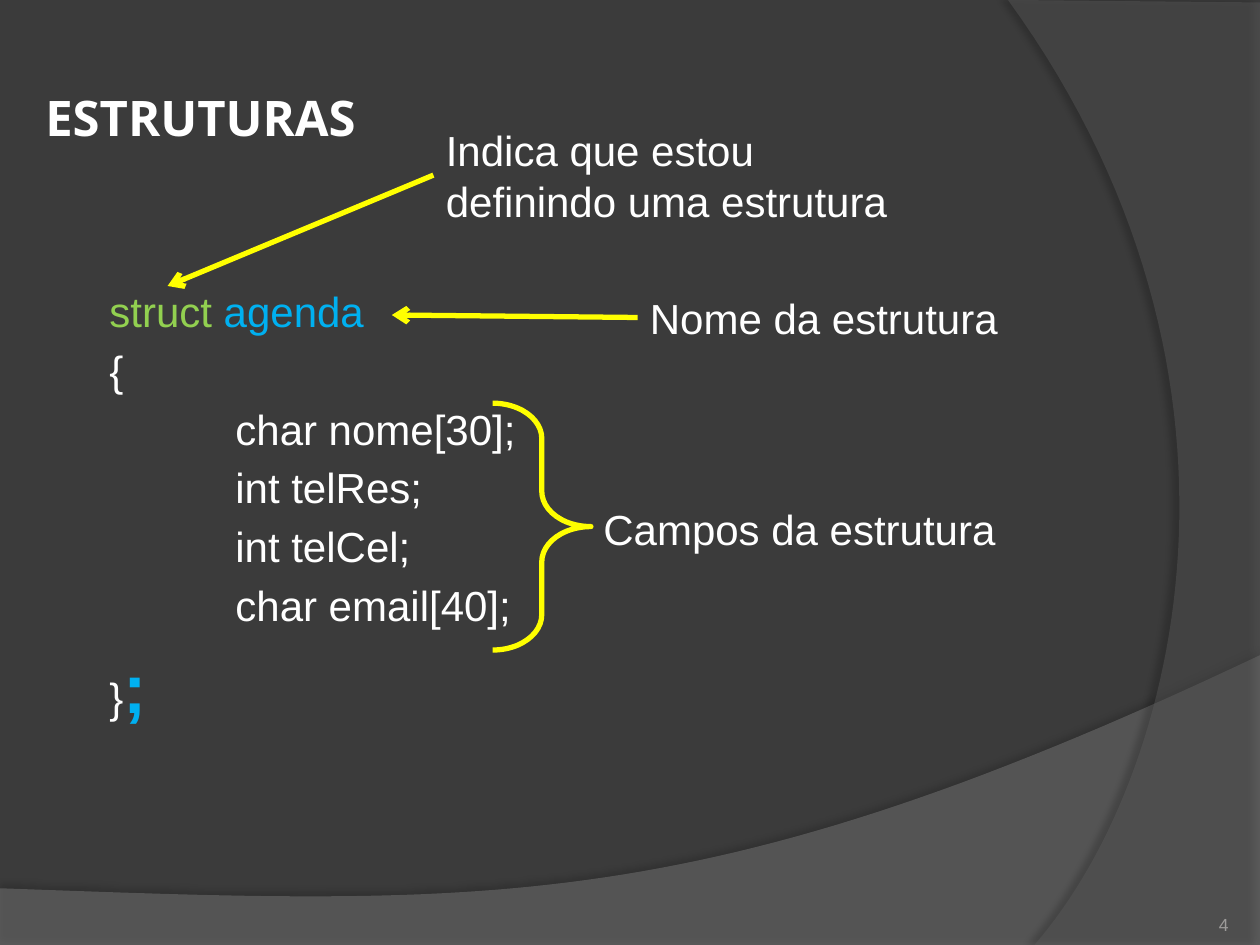
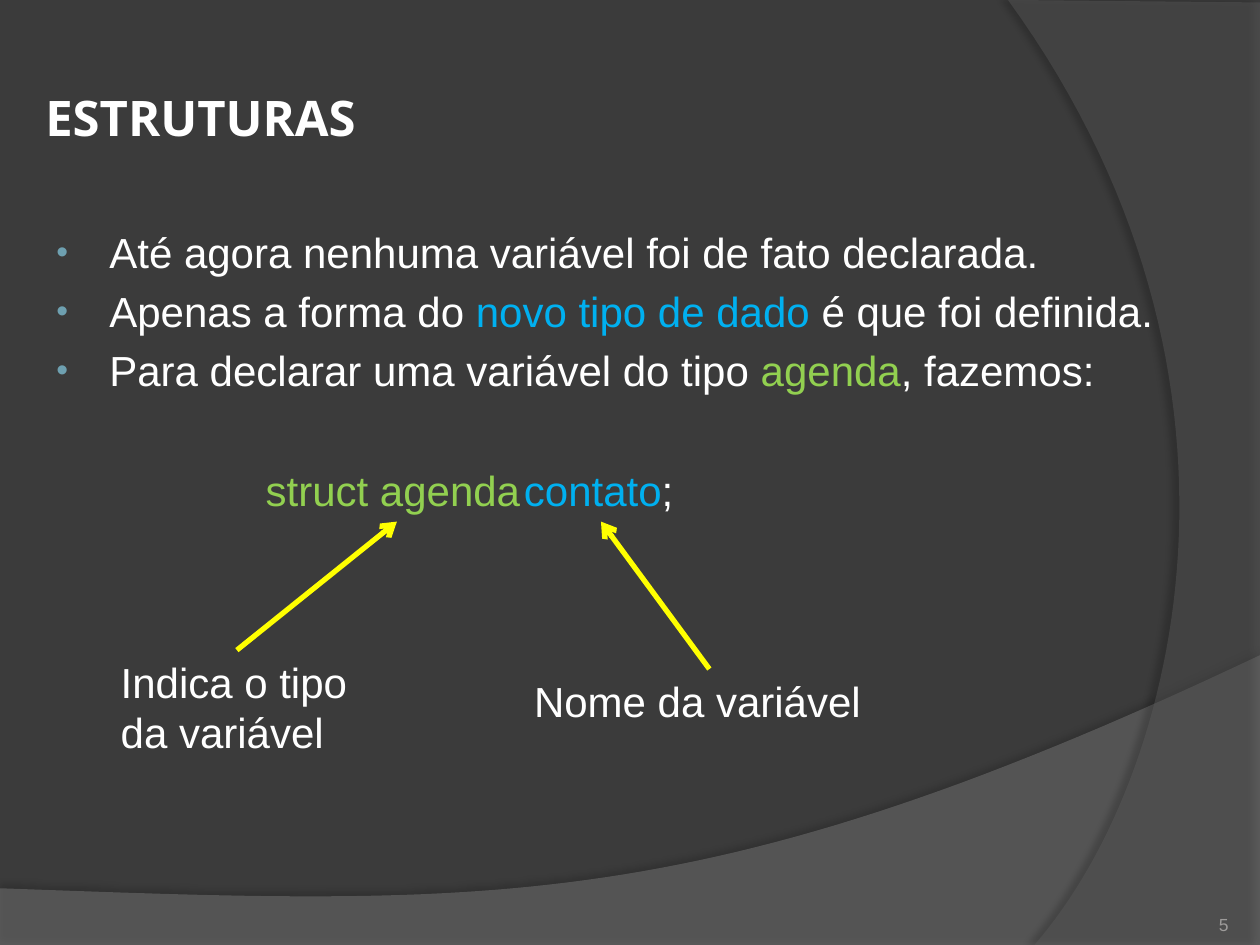
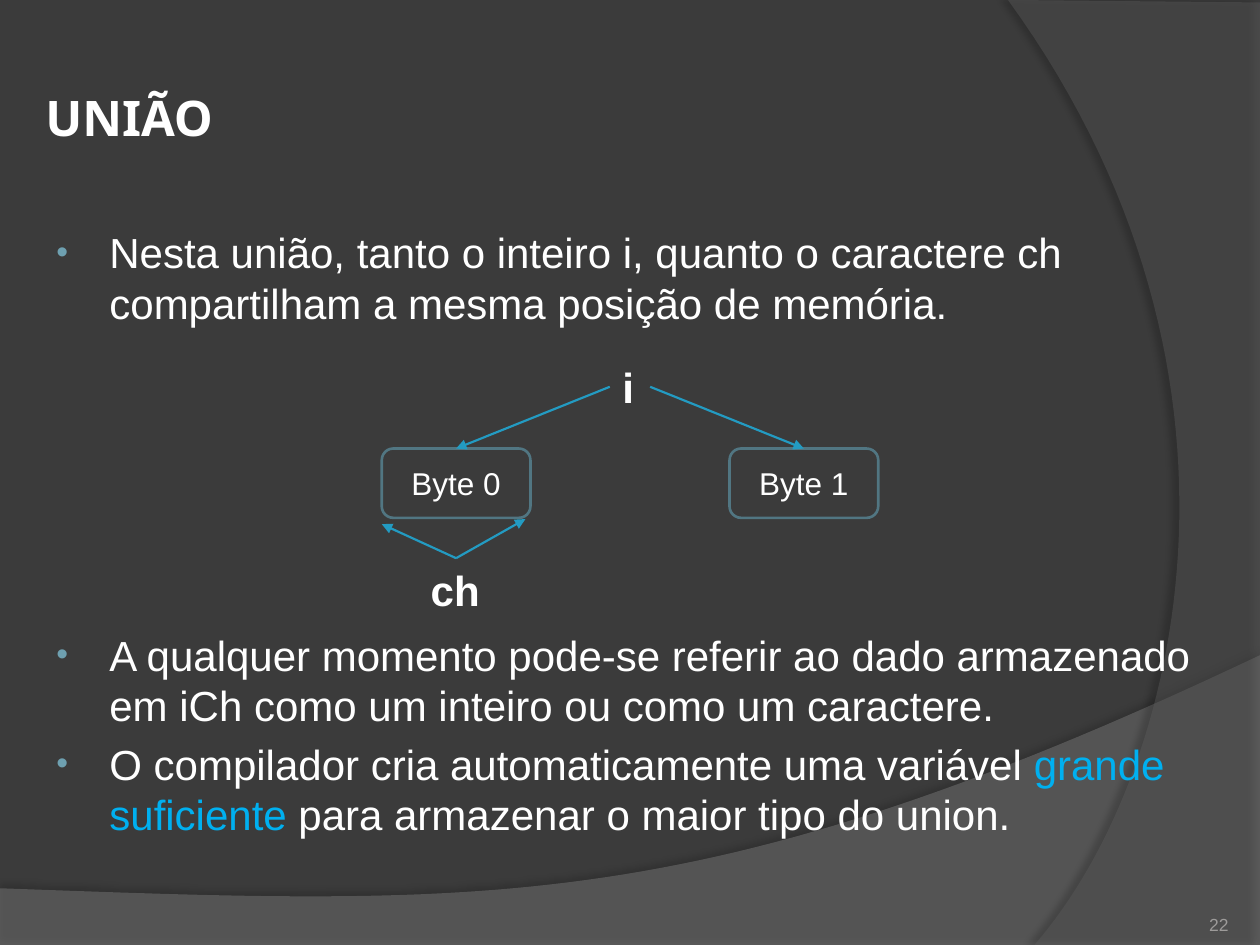
from pptx import Presentation
from pptx.dml.color import RGBColor
from pptx.enum.shapes import MSO_CONNECTOR, MSO_SHAPE
from pptx.enum.text import MSO_ANCHOR, PP_ALIGN
from pptx.oxml.ns import qn
from pptx.util import Inches, Pt
from lxml.etree import SubElement

# Palette and fonts
BACKDROP = RGBColor(0x3B, 0x3B, 0x3B)
WAVE = RGBColor(0x7F, 0x7F, 0x7F)
ARC = RGBColor(0x5E, 0x5E, 0x5E)
WHITE = RGBColor(0xFF, 0xFF, 0xFF)
GREEN = RGBColor(0x92, 0xD0, 0x50)
BLUE = RGBColor(0x00, 0xB0, 0xF0)
YELLOW = RGBColor(0xFF, 0xFF, 0x00)
TEAL = RGBColor(0x23, 0x9B, 0xC2)
SLATE = RGBColor(0x51, 0x76, 0x82)
BULLET = RGBColor(0x6E, 0xA0, 0xB0)
GREY = RGBColor(0x9D, 0x9B, 0x9A)
BODY_FONT, TITLE_FONT = "Arial", "Noto Sans"

# Grid of 100 columns by 75 rows; boxes are (left, top, width, height) in cells
SLIDE_W, SLIDE_H = Inches(10), Inches(7.5)
COLS, ROWS = 100, 75
TITLE = (3.1, 3, 93.8, 12.5)
BODY = (3.1, 17.5, 93.8, 49.5)
NUMBER = (89.2, 70.2, 8.3, 4)
LINE_ROWS = 4.66            # one body line with its gap
LINE_PT = 33.5


def grid(*cells):
    """Turn x, y, x, y... cells into lengths."""
    units = (SLIDE_W / COLS, SLIDE_H / ROWS)
    return [int(c * units[i % 2]) for i, c in enumerate(cells)]


def add_runs(p, parts, size=24, bold=False, font=BODY_FONT):
    """Parts are strings (white) or (text, colour[, size, bold])."""
    for part in parts:
        text, color, sz, b = (part, WHITE, size, bold) if isinstance(part, str) \
            else part + (size, bold)[len(part) - 2:]
        r = p.add_run()
        r.text = text
        r.font.name, r.font.size, r.font.bold = font, Pt(sz), b
        r.font.color.rgb = color


def add_text(s, box, *parts, inset=None, anchor=MSO_ANCHOR.TOP, align=None, **style):
    tf = s.shapes.add_textbox(*grid(*box)).text_frame
    tf.word_wrap = True
    tf.vertical_anchor = anchor
    if inset is not None:
        tf.margin_left = tf.margin_right = tf.margin_top = tf.margin_bottom = Inches(inset)
    p = tf.paragraphs[0]
    p.alignment = align
    add_runs(p, parts, **style)
    return tf


def indent(p, left, first=0):
    pPr = p._p.get_or_add_pPr()
    pPr.set("marL", str(Inches(left)))
    pPr.set("indent", str(Inches(first)))
    return pPr


def add_arrow(s, start, end, color=YELLOW, width=3, head="arrow"):
    c = s.shapes.add_connector(MSO_CONNECTOR.STRAIGHT, *grid(*start, *end))
    c.line.color.rgb = color
    c.line.width = Pt(width)
    SubElement(c.line._get_or_add_ln(), qn("a:tailEnd"), type=head)
    SubElement(c._element.spPr, qn("a:effectLst"))


def add_outline(s, kind, box, color, width):
    shape = s.shapes.add_shape(kind, *grid(*box))
    shape.shadow.inherit = False
    shape.fill.background()
    shape.line.color.rgb = color
    shape.line.width = Pt(width)
    return shape


# Background bands
def bezier(p0, p1, p2, p3, steps=60):
    for i in range(1, steps + 1):
        t = i / steps
        u = 1 - t
        yield tuple(u**3 * a + 3 * u * u * t * b + 3 * u * t * t * c + t**3 * d
                    for a, b, c, d in zip(p0, p1, p2, p3))


def add_band(s, points, color, alpha, shadow_alpha, distance, angle):
    start, *rest = [grid(*pt) for pt in points]
    fb = s.shapes.build_freeform(*start)
    fb.add_line_segments(rest, close=True)
    band = fb.convert_to_shape()
    band.fill.solid()
    band.fill.fore_color.rgb = color
    band.line.fill.background()
    spPr = band._element.spPr
    SubElement(spPr.find(".//" + qn("a:srgbClr")), qn("a:alpha"), val=str(alpha * 1000))
    shadow = SubElement(SubElement(spPr, qn("a:effectLst")), qn("a:outerShdw"),
                        blurRad=str(Pt(4)), dist=str(Pt(distance)),
                        dir=str(angle * 60000), algn="ctr", rotWithShape="0")
    black = SubElement(shadow, qn("a:srgbClr"), val="000000")
    SubElement(black, qn("a:alpha"), val=str(shadow_alpha * 1000))


def add_base(prs, title, number):
    s = prs.slides.add_slide(prs.slide_layouts[6])
    s.background.fill.solid()
    s.background.fill.fore_color.rgb = BACKDROP
    wave = [(0, 70.5), (0, 75.1), (100, 75.1), (100, 52),
            *bezier((100, 52), (55.9, 72.9), (39.1, 71.9), (0, 70.5))]
    arc = [(100, 0.2), (100, 75), (82.1, 75),
           *bezier((82.1, 75), (93.5, 61.9), (101.8, 30), (80, 0))]
    add_band(s, wave, WAVE, 45, 35, 3.5, 270)
    add_band(s, arc, ARC, 40, 45, 4, 180)
    add_text(s, TITLE, title, inset=0.05, anchor=MSO_ANCHOR.MIDDLE,
             size=28, bold=True, font=TITLE_FONT)
    add_text(s, NUMBER, (str(number), GREY), inset=0, anchor=MSO_ANCHOR.BOTTOM,
             align=PP_ALIGN.RIGHT, size=10)
    return s


# Body text
def add_bullets(s, box, items):
    """Items are (lines left free above, parts)."""
    tf = add_text(s, box)
    for i, (free, parts) in enumerate(items):
        p = tf.add_paragraph() if i else tf.paragraphs[0]
        p.space_before = Pt(4.8 + free * LINE_PT)
        pPr = indent(p, 0.46, -0.42)
        SubElement(SubElement(pPr, qn("a:buClr")), qn("a:srgbClr"), val=str(BULLET))
        SubElement(pPr, qn("a:buSzPct"), val="80000")
        SubElement(pPr, qn("a:buFont"), typeface=BODY_FONT)
        SubElement(pPr, qn("a:buChar"), char="•")
        add_runs(p, parts)


def add_code(s, box, lines):
    """Lines are (level, parts)."""
    tf = add_text(s, box)
    for i, (level, parts) in enumerate(lines):
        p = tf.add_paragraph() if i else tf.paragraphs[0]
        p.space_before = Pt(8 if level == 0 and i == len(lines) - 1 else 4.8)
        indent(p, 0.46 + level)
        add_runs(p, parts)


# Slide regions
def struct_definition(s, box):
    x, y, w, h = box
    add_code(s, (x, y + LINE_ROWS, w, h - LINE_ROWS), [
        (0, [("struct ", GREEN), ("agenda", BLUE)]),
        (0, ["{"]),
        *[(1, [field]) for field in ("char nome[30];", "int telRes;",
                                     "int telCel;", "char email[40];")],
        (0, ["}", (";", BLUE, 40, True)]),
    ])
    add_text(s, (x + 31.3, y - 8.1, 37.5, 9.1), "Indica que estou definindo uma estrutura")
    add_text(s, (x + 47.5, y + 5.2, 29.7, 5.1), "Nome da estrutura")
    add_text(s, (x + 43.8, y + 22, 33.6, 5.1), "Campos da estrutura")
    add_arrow(s, (x + 31.3, y - 3.6), (x + 10.2, y + 5.2))
    add_arrow(s, (x + 47.5, y + 7.7), (x + 28, y + 7.5))
    brace = add_outline(s, MSO_SHAPE.RIGHT_BRACE, (x + 36, y + 14.5, 7.8, 19.6), YELLOW, 3)
    brace.adjustments[0], brace.adjustments[1] = 0.36, 0.5


def variable_declaration(s, box):
    x, y, w, h = box
    add_bullets(s, box, [
        (0, ["Até agora nenhuma variável foi de fato declarada."]),
        (0, ["Apenas a forma do ", ("novo tipo de dado", BLUE), " é que foi definida."]),
        (0, ["Para declarar uma variável do tipo ", ("agenda", GREEN), ", fazemos:"]),
    ])
    code_y, code_h = y + 18.9, 5
    add_text(s, (x + 17, code_y, 22.8, code_h), ("struct agenda", GREEN))
    add_text(s, (x + 37.5, code_y, 14.1, code_h), ("contato", BLUE), ";")
    add_text(s, (x + 5.5, y + 34.1, 20.3, 9.1), "Indica o tipo da variável")
    add_text(s, (x + 38.3, y + 35.6, 29.7, 5.1), "Nome da variável")
    add_arrow(s, (x + 15.7, y + 34.1), (x + 28.4, code_y + code_h))
    add_arrow(s, (x + 53.2, y + 35.6), (x + 44.6, code_y + code_h))


def memory_diagram(s, box):
    x, y, w, h = box
    mid, byte_w, byte_h = x + w / 2, 11.8, 5.5
    byte_y, offset = y + 7.4, (w - byte_w) / 2
    fan = dict(color=TEAL, width=1.25, head="triangle")
    # Bytes, each reached from the integer
    for i, side in enumerate((-1, 1)):
        center = mid + side * offset
        shape = add_outline(s, MSO_SHAPE.ROUNDED_RECTANGLE,
                            (center - byte_w / 2, byte_y, byte_w, byte_h), SLATE, 1.5)
        tf = shape.text_frame
        tf.vertical_anchor = MSO_ANCHOR.MIDDLE
        tf.paragraphs[0].alignment = PP_ALIGN.CENTER
        add_runs(tf.paragraphs[0], [f"Byte {i}"], size=18)
        add_arrow(s, (mid + side * 1.6, y + 2.5), (center, byte_y), **fan)
    add_text(s, (mid - 1.6, y, 3.2, 5), "i", bold=True)
    # Character, spanning the first byte
    ch_x, ch_y = mid - offset, y + 16.1
    add_text(s, (ch_x - 3, ch_y, 6, 5), "ch", bold=True)
    add_arrow(s, (ch_x, ch_y), (ch_x - 5.9, ch_y - 2.7), **fan)
    add_arrow(s, (ch_x, ch_y), (ch_x + 5.5, ch_y - 3.1), **fan)


def union_memory(s, box):
    x, y, w, h = box
    add_bullets(s, box, [
        (0, ["Nesta união, tanto o inteiro i, quanto o caractere ch "
             "compartilham a mesma posição de memória."]),
        (5, ["A qualquer momento pode-se referir ao dado armazenado "
             "em iCh como um inteiro ou como um caractere."]),
        (0, ["O compilador cria automaticamente uma variável ",
             ("grande suficiente", BLUE), " para armazenar o maior tipo do union."]),
    ])
    memory_diagram(s, (x + 27.2, y + 10.7, 39.4, 21.1))


def main():
    prs = Presentation()
    prs.slide_width, prs.slide_height = SLIDE_W, SLIDE_H
    for title, number, fill_body in (("ESTRUTURAS", 4, struct_definition),
                                     ("ESTRUTURAS", 5, variable_declaration),
                                     ("UNIÃO", 22, union_memory)):
        fill_body(add_base(prs, title, number), BODY)
    prs.save("out.pptx")


if __name__ == "__main__":
    main()
